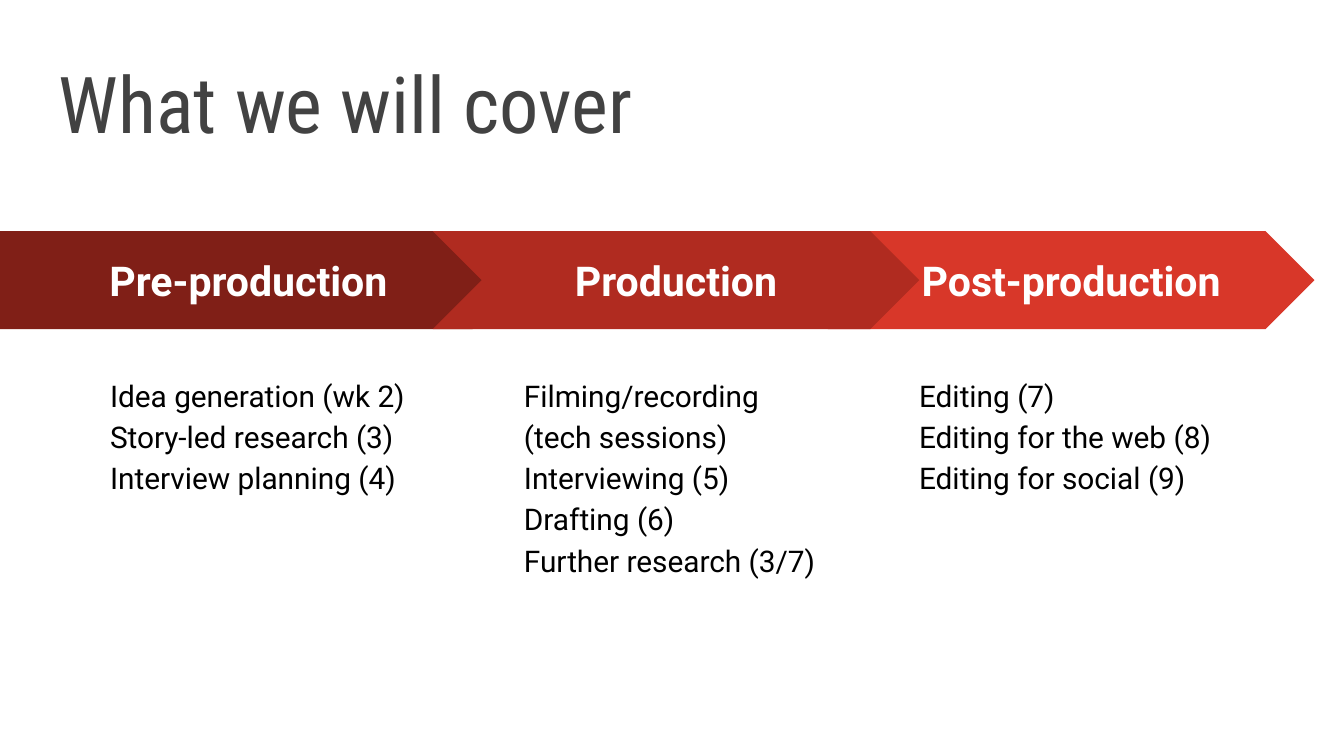
from dataclasses import dataclass

from pptx import Presentation
from pptx.dml.color import RGBColor
from pptx.enum.shapes import MSO_SHAPE as Shape
from pptx.enum.text import MSO_ANCHOR as Anchor, PP_ALIGN as Align
from pptx.util import Inches, Pt


@dataclass(frozen=True)
class Theme:
    heading_font: str = "Roboto Condensed"
    body_font: str = "Roboto"
    title_size: int = 42
    stage_size: int = 22
    topic_size: int = 16
    title_color: str = "424242"
    stage_color: str = "FFFFFF"
    topic_color: str = "000000"
    dark_red: str = "801F17"
    mid_red: str = "B02B20"
    bright_red: str = "D83729"


@dataclass(frozen=True)
class Stage:
    name: str
    topics: tuple[str, ...]
    outline: Shape
    fill: str
    left: float
    width: float
    topics_left: float


THEME = Theme()
SLIDE_WIDTH = 10
SLIDE_HEIGHT = SLIDE_WIDTH * 9 / 16
ARROW_TOP, ARROW_HEIGHT = 1.72, 0.73
CHEVRON_LEFT, CHEVRON_STEP, CHEVRON_WIDTH = 3.22, 2.94, 3.62
TOPICS_INDENT = 0.58


def chevron_stage(index: int, name: str, fill: str, *topics: str) -> Stage:
    left = CHEVRON_LEFT + index * CHEVRON_STEP
    return Stage(name, topics, Shape.CHEVRON, fill, left, CHEVRON_WIDTH, left + TOPICS_INDENT)


# Back to front: each arrow tip is trimmed by the notch of the arrow above it.
STAGES = (
    chevron_stage(1, "Post-production", THEME.bright_red,
                  "Editing (7)", "Editing for the web (8)", "Editing for social (9)"),
    Stage("Pre-production",
          ("Idea generation (wk 2)", "Story-led research (3)", "Interview planning (4)"),
          Shape.PENTAGON, THEME.dark_red, 0, 3.88, 0.72),
    chevron_stage(0, "Production", THEME.mid_red,
                  "Filming/recording (tech sessions)", "Interviewing (5)",
                  "Drafting (6)", "Further research (3/7)"),
)


def write(frame, text: str, font_name: str, size: int, color: str, *, bold: bool = False,
          align: Align = Align.LEFT, anchor: Anchor = Anchor.TOP, spacing: float = 1.0) -> None:
    """Fill a text frame, one paragraph a line, in a single style."""
    frame.text = text
    frame.word_wrap = True
    frame.vertical_anchor = anchor
    frame.margin_left = frame.margin_right = Inches(0.1)
    frame.margin_top = frame.margin_bottom = Inches(0.1)
    for paragraph in frame.paragraphs:
        paragraph.alignment = align
        paragraph.line_spacing = spacing
        for run in paragraph.runs:
            run.font.name = font_name
            run.font.size = Pt(size)
            run.font.bold = bold
            run.font.color.rgb = RGBColor.from_string(color)


def draw_title(slide, text: str) -> None:
    title = slide.shapes.add_textbox(Inches(0.34), Inches(0.41), Inches(9.32), Inches(0.8))
    write(title.text_frame, text, THEME.heading_font, THEME.title_size,
          THEME.title_color, anchor=Anchor.BOTTOM)


def draw_stage(slide, stage: Stage) -> None:
    arrow = slide.shapes.add_shape(stage.outline, Inches(stage.left), Inches(ARROW_TOP),
                                   Inches(stage.width), Inches(ARROW_HEIGHT))
    arrow.adjustments[0] = 0.5
    arrow.shadow.inherit = False
    arrow.fill.solid()
    arrow.fill.fore_color.rgb = RGBColor.from_string(stage.fill)
    arrow.line.fill.background()
    write(arrow.text_frame, stage.name, THEME.body_font, THEME.stage_size,
          THEME.stage_color, bold=True, align=Align.CENTER, anchor=Anchor.MIDDLE)

    topics = slide.shapes.add_textbox(Inches(stage.topics_left), Inches(2.67),
                                      Inches(2.45), Inches(2.86))
    write(topics.text_frame, "\n".join(stage.topics), THEME.body_font,
          THEME.topic_size, THEME.topic_color, spacing=1.15)


def main() -> None:
    deck = Presentation()
    deck.slide_width, deck.slide_height = Inches(SLIDE_WIDTH), Inches(SLIDE_HEIGHT)
    slide = deck.slides.add_slide(deck.slide_layouts[6])
    for stage in STAGES:
        draw_stage(slide, stage)
    draw_title(slide, "What we will cover")
    deck.save("out.pptx")


if __name__ == "__main__":
    main()
